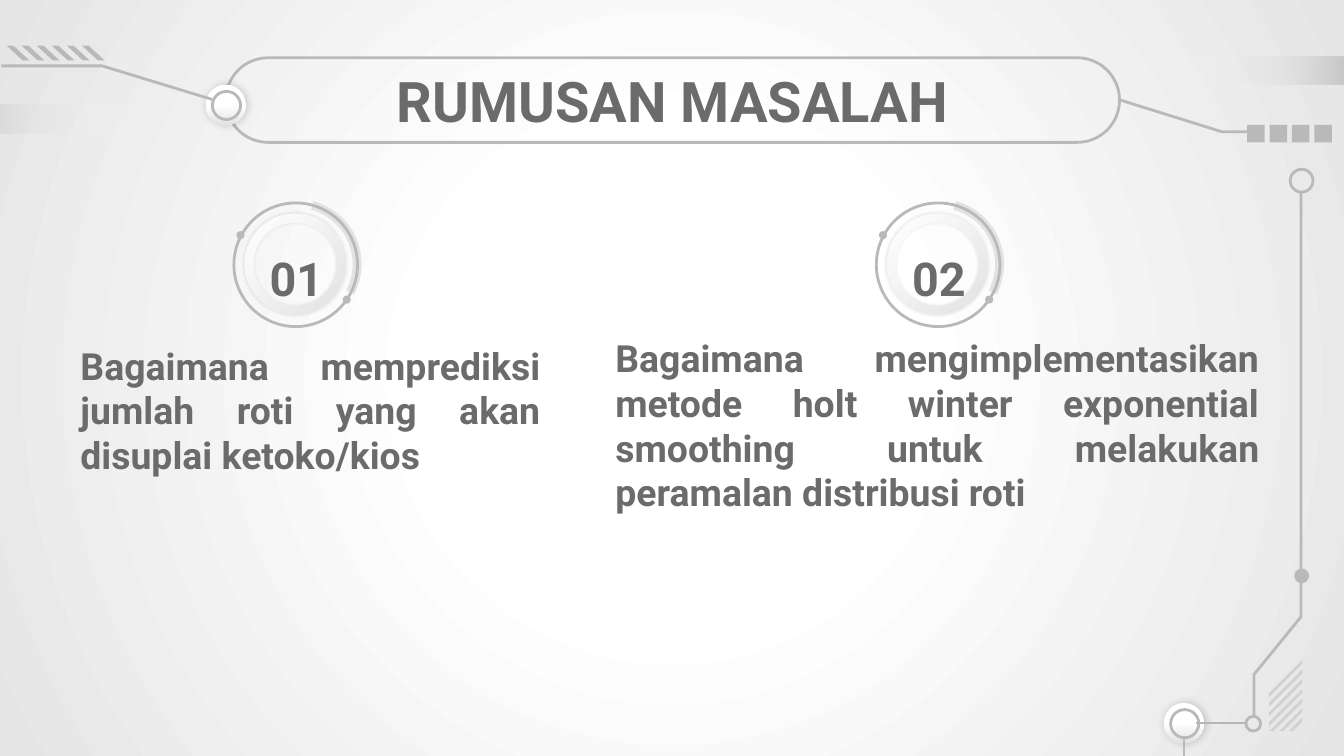
from dataclasses import dataclass

from lxml import etree
from pptx import Presentation
from pptx.dml.color import RGBColor
from pptx.enum.shapes import MSO_CONNECTOR, MSO_SHAPE
from pptx.enum.text import MSO_ANCHOR, PP_ALIGN
from pptx.oxml import parse_xml
from pptx.oxml.ns import qn
from pptx.util import Inches, Pt

OVAL = MSO_SHAPE.OVAL
DONUT = MSO_SHAPE.DONUT
BLOCK_ARC = MSO_SHAPE.BLOCK_ARC
RECTANGLE = MSO_SHAPE.RECTANGLE
ROUNDED = MSO_SHAPE.ROUNDED_RECTANGLE
PARALLELOGRAM = MSO_SHAPE.PARALLELOGRAM
STRAIGHT = MSO_CONNECTOR.STRAIGHT
CENTER, JUSTIFY = PP_ALIGN.CENTER, PP_ALIGN.JUSTIFY
MIDDLE = MSO_ANCHOR.MIDDLE
A_NS = 'xmlns:a="http://schemas.openxmlformats.org/drawingml/2006/main"'


@dataclass(frozen=True)
class Theme:
    font: str = "Roboto"
    text: str = "6B6B6B"
    line: str = "B9B9B9"
    link: str = "B4B6B9"
    hatch: str = "D1D1D1"
    pale: str = "E2E2E2"
    edge: str = "E5E5E5"
    fade: str = "DCDCDC"
    white: str = "FFFFFF"
    title_size: int = 30
    number_size: int = 25
    body_size: int = 20
    line_width: float = 1.5


def gradient(stops, angle=None):
    """Gradient from (percent, colour, opacity) stops; radial without an angle."""
    gs = "".join(
        f'<a:gs pos="{pos * 1000}"><a:srgbClr val="{color}">'
        f'<a:alpha val="{alpha * 1000}"/></a:srgbClr></a:gs>'
        for pos, color, alpha in stops)
    if angle is None:
        direction = ('<a:path path="circle"><a:fillToRect l="50000" t="50000" '
                     'r="50000" b="50000"/></a:path>')
    else:
        direction = f'<a:lin ang="{angle * 60000}" scaled="0"/>'
    return parse_xml(f'<a:gradFill {A_NS} rotWithShape="1">'
                     f'<a:gsLst>{gs}</a:gsLst>{direction}</a:gradFill>')


def swap_solid(parent, grad):
    solid = parent.find(".//" + qn("a:solidFill"))
    solid.getparent().replace(solid, grad)


class Painter:
    def __init__(self, slide, theme):
        self.s, self.t = slide, theme

    def background(self, grad):
        self.s.background.fill.solid()
        self.s.background.fill.fore_color.rgb = RGBColor.from_string(self.t.white)
        swap_solid(self.s.element.cSld, grad)

    def style(self, sp, fill=None, line=None):
        """Fill with a colour, a gradient element or nothing."""
        sp.shadow.inherit = False
        if fill is None:
            sp.fill.background()
        else:
            sp.fill.solid()
            if isinstance(fill, str):
                sp.fill.fore_color.rgb = RGBColor.from_string(fill)
            else:
                swap_solid(sp.element.spPr, fill)
        if line is None:
            sp.line.fill.background()
        else:
            sp.line.color.rgb = RGBColor.from_string(line)
            sp.line.width = Pt(self.t.line_width)
        return sp

    def shape(self, kind, x, y, w, h, fill=None, line=None, adj=()):
        sp = self.s.shapes.add_shape(kind, Inches(x), Inches(y), Inches(w), Inches(h))
        for i, value in enumerate(adj):
            sp.adjustments[i] = value
        return self.style(sp, fill, line)

    def glow(self, sp, alpha, blur, dist):
        effects = sp.element.spPr.find(qn("a:effectLst"))
        shadow = etree.SubElement(effects, qn("a:outerShdw"), blurRad=str(Pt(blur)),
                                  dist=str(Pt(dist)), dir="0", rotWithShape="0")
        color = etree.SubElement(shadow, qn("a:srgbClr"), val="000000")
        etree.SubElement(color, qn("a:alpha"), val=str(alpha * 1000))

    def freeform(self, points, fill=None, line=None, close=False):
        pts = [(Inches(x), Inches(y)) for x, y in points]
        builder = self.s.shapes.build_freeform(*pts[0], scale=1.0)
        builder.add_line_segments(pts[1:], close=close)
        return self.style(builder.convert_to_shape(), fill, line)

    def line(self, x1, y1, x2, y2, color):
        cxn = self.s.shapes.add_connector(STRAIGHT, Inches(x1), Inches(y1),
                                          Inches(x2), Inches(y2))
        cxn.line.color.rgb = RGBColor.from_string(color)
        cxn.line.width = Pt(self.t.line_width)
        etree.SubElement(cxn.element.spPr, qn("a:effectLst"))

    def text(self, x, y, w, h, words, size, align=CENTER):
        box = self.s.shapes.add_textbox(Inches(x), Inches(y), Inches(w), Inches(h))
        tf = box.text_frame
        tf.word_wrap = True
        tf.vertical_anchor = MIDDLE
        tf.margin_left = tf.margin_right = Inches(0.1)
        tf.margin_top = tf.margin_bottom = Inches(0.1)
        p = tf.paragraphs[0]
        p.alignment = align
        r = p.add_run()
        r.text = words
        r.font.name, r.font.size, r.font.bold = self.t.font, Pt(size), True
        r.font.color.rgb = RGBColor.from_string(self.t.text)

    def fading_bar(self, x, y, flip=False):
        t = self.t
        grad = gradient([(0, t.line, 100), (43, t.fade, 42), (100, t.white, 0)], 0)
        sp = self.shape(PARALLELOGRAM, x, y, 1.46, 0.21, grad, adj=[0.25])
        if flip:
            sp.element.spPr.xfrm.set("flipH", "1")

    def badge(self, x, number):
        t, y = self.t, 1.48
        arc = self.shape(BLOCK_ARC, x, y, 0.97, 0.97, t.pale, adj=[108.12, 169.544, 0.068])
        arc.rotation = 105
        self.shape(OVAL, x + 0.02, y + 0.03, 0.92, 0.92, line=t.line)
        for dx, dy in ((0.83, 0.72), (0.04, 0.24)):
            self.shape(OVAL, x + dx, y + dy, 0.06, 0.06, t.line)
        grad = gradient([(0, t.white, 100), (100, t.pale, 100)], 45)
        rim = self.shape(DONUT, x + 0.1, y + 0.11, 0.75, 0.75, grad, adj=[0.086])
        self.glow(rim, 14, 2.2, 0)
        self.text(x + 0.15, 1.87, 0.67, 0.39, number, t.number_size)

    def hub(self, x, y):
        """Raised disc with a ring inside it."""
        t = self.t
        grad = gradient([(0, t.white, 100), (50, t.white, 100), (100, t.pale, 100)], 90)
        self.glow(self.shape(OVAL, x, y, 0.3, 0.3, grad), 19, 4.5, 0.8)
        self.shape(OVAL, x + 0.05, y + 0.05, 0.21, 0.21, line=t.line)

    def hatching(self, left, top, right, bottom, count, step, thick):
        """Diagonal stripes clipped to the left and bottom edges."""
        for i in range(count):
            y = top + i * step
            upper = max(left, right - (bottom - y))
            lower = max(left, right - (bottom - y - thick))
            self.freeform([(right, y), (upper, y + right - upper),
                           (lower, y + thick + right - lower), (right, y + thick)],
                          self.t.hatch, close=True)


def main():
    prs = Presentation()
    prs.slide_width = Inches(10)
    prs.slide_height = prs.slide_width * 9 // 16
    t = Theme()
    d = Painter(prs.slides.add_slide(prs.slide_layouts[6]), t)

    d.background(gradient([(0, t.white, 100), (32, t.white, 100), (100, t.edge, 100)]))
    d.fading_bar(8.7, 0.42, flip=True)
    d.fading_bar(-0.45, 0.78)

    # Questions
    d.badge(6.5, "02")
    d.badge(1.72, "01")
    d.text(0.5, 2.54, 3.62, 1.02,
           "Bagaimana memprediksi jumlah roti yang akan disuplai ketoko/kios",
           t.body_size, JUSTIFY)
    d.text(4.48, 2.54, 4.99, 1.24,
           "Bagaimana mengimplementasikan metode holt winter exponential smoothing "
           "untuk melakukan peramalan distribusi roti", t.body_size, JUSTIFY)

    # Title frame and its leads
    d.shape(ROUNDED, 1.68, 0.43, 6.65, 0.63, line=t.line, adj=[0.5])
    d.freeform([(9.3, 0.98), (9.09, 0.98), (8.32, 0.74)], line=t.line)
    for i in range(4):
        d.shape(RECTANGLE, 9.28 + i * 0.5 / 3, 0.93, 0.13, 0.13, t.line)
    for i in range(6):
        x = 0.05 + i * 0.56 / 5
        d.freeform([(x, 0.34), (x + 0.12, 0.45), (x + 0.17, 0.45), (x + 0.05, 0.34)],
                   t.line, close=True)
    d.hub(1.53, 0.63)
    d.freeform([(0.01, 0.49), (0.76, 0.49), (1.58, 0.74)], line=t.line)
    d.text(0.79, 0.43, 8.43, 0.63, "RUMUSAN MASALAH", t.title_size)

    # Circuit on the right edge
    d.hub(8.66, 5.23)
    d.shape(OVAL, 9.6, 1.26, 0.17, 0.17, line=t.line)
    d.shape(OVAL, 9.27, 5.33, 0.11, 0.11, line=t.line)
    d.hatching(9.44, 4.91, 9.69, 5.44, count=7, step=0.43 / 6, thick=0.03)
    d.line(9.27, 5.38, 8.9, 5.38, t.link)
    d.line(8.81, 5.48, 8.81, 5.65, t.line)
    d.freeform([(9.33, 5.33), (9.33, 5.02), (9.68, 4.59), (9.68, 1.43)], line=t.line)
    d.shape(OVAL, 9.63, 4.23, 0.11, 0.11, t.line)

    prs.save("out.pptx")


if __name__ == "__main__":
    main()
